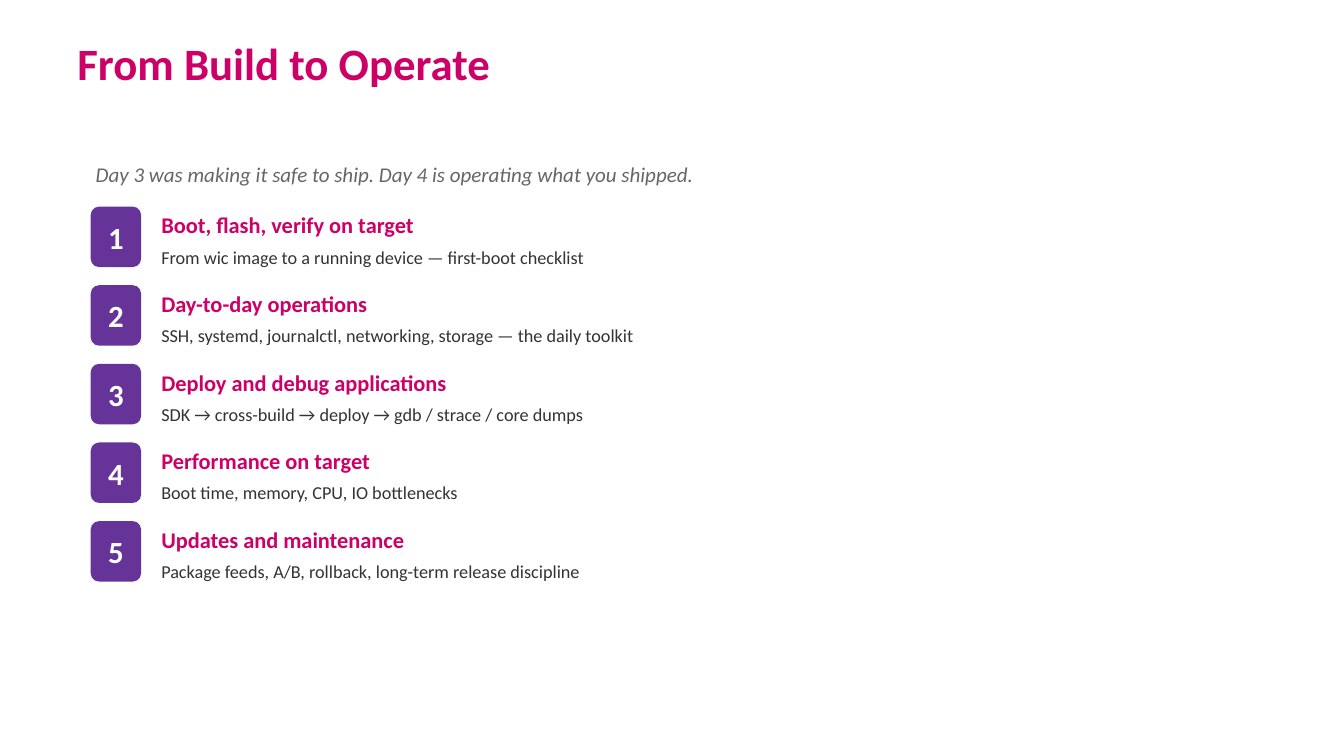
"""Build the "From Build to Operate" agenda slide."""
import dataclasses

import pptx
import pptx.dml.color
import pptx.enum.shapes
import pptx.enum.text
import pptx.shapes.autoshape
import pptx.slide
import pptx.util

Inches = pptx.util.Inches
Anchor = pptx.enum.text.MSO_ANCHOR
AutoSize = pptx.enum.text.MSO_AUTO_SIZE

PINK, PURPLE, WHITE = "CC0066", "663399", "FFFFFF"
DARK_GRAY, MID_GRAY = "333333", "666666"
FIRST_TOP, STEP_PITCH, DETAIL_OFFSET = 2.05, 0.78, 0.34
BADGE_LEFT, TEXT_LEFT = 0.9, 1.55


@dataclasses.dataclass(frozen=True)
class Style:
    size: int
    color: str
    bold: bool = False
    italic: bool = False


@dataclasses.dataclass(frozen=True)
class Step:
    heading: str
    detail: str


TITLE = Style(32, PINK, bold=True)
SUBTITLE = Style(15, MID_GRAY, italic=True)
BADGE = Style(22, WHITE, bold=True)
HEADING = Style(16, PINK, bold=True)
DETAIL = Style(13, DARK_GRAY)

STEPS = [
    Step("Boot, flash, verify on target",
         "From wic image to a running device — first-boot checklist"),
    Step("Day-to-day operations",
         "SSH, systemd, journalctl, networking, storage — the daily toolkit"),
    Step("Deploy and debug applications",
         "SDK → cross-build → deploy → gdb / strace / core dumps"),
    Step("Performance on target",
         "Boot time, memory, CPU, IO bottlenecks"),
    Step("Updates and maintenance",
         "Package feeds, A/B, rollback, long-term release discipline"),
]


def rgb(value: str) -> pptx.dml.color.RGBColor:
    """Turn a hex string into a colour."""
    return pptx.dml.color.RGBColor.from_string(value)


def write(box: pptx.shapes.autoshape.Shape, text: str, style: Style,
          side_inset: float, anchor: Anchor = Anchor.TOP) -> None:
    """Put one styled paragraph in a shape."""
    frame = box.text_frame
    frame.word_wrap = True
    frame.vertical_anchor = anchor
    frame.margin_left = frame.margin_right = Inches(side_inset)
    frame.margin_top = frame.margin_bottom = Inches(0.05)
    para = frame.paragraphs[0]
    para.text = text
    font = para.font
    font.name = "Calibri"
    font.size = pptx.util.Pt(style.size)
    font.bold = style.bold
    font.italic = style.italic
    font.color.rgb = rgb(style.color)


def add_title(page: pptx.slide.Slide, text: str) -> None:
    """Add the slide title, centred vertically in its band."""
    box = page.shapes.add_textbox(Inches(0.67), 0, Inches(12), Inches(1.25))
    write(box, text, TITLE, 0.1, Anchor.MIDDLE)


def add_line(page: pptx.slide.Slide, text: str, style: Style, left: float,
             top: float, width: float, height: float) -> None:
    """Add a line of text in a box that grows with it."""
    box = page.shapes.add_textbox(Inches(left), Inches(top), Inches(width), Inches(height))
    write(box, text, style, 0.05)
    box.text_frame.auto_size = AutoSize.SHAPE_TO_FIT_TEXT


def add_step(page: pptx.slide.Slide, number: int, step: Step) -> None:
    """Add a numbered badge with its heading and detail."""
    top = FIRST_TOP + (number - 1) * STEP_PITCH
    badge = page.shapes.add_shape(
        pptx.enum.shapes.MSO_SHAPE.ROUNDED_RECTANGLE,
        Inches(BADGE_LEFT), Inches(top), Inches(0.5), Inches(0.6))
    badge.shadow.inherit = False
    badge.fill.solid()
    badge.fill.fore_color.rgb = rgb(PURPLE)
    badge.line.fill.background()
    write(badge, str(number), BADGE, 0, Anchor.MIDDLE)
    badge.text_frame.paragraphs[0].alignment = pptx.enum.text.PP_ALIGN.CENTER
    add_line(page, step.heading, HEADING, TEXT_LEFT, top, 11, 0.35)
    add_line(page, step.detail, DETAIL, TEXT_LEFT, top + DETAIL_OFFSET, 11, 0.35)


def main() -> None:
    """Build and save the deck."""
    deck = pptx.Presentation()
    deck.slide_width, deck.slide_height = Inches(13.33), Inches(7.5)
    page = deck.slides.add_slide(deck.slide_layouts[6])
    add_title(page, "From Build to Operate")
    add_line(page, "Day 3 was making it safe to ship. Day 4 is operating what you shipped.",
             SUBTITLE, BADGE_LEFT, 1.55, 11.5, 0.4)
    for number, step in enumerate(STEPS, start=1):
        add_step(page, number, step)
    deck.save("out.pptx")


if __name__ == "__main__":
    main()
